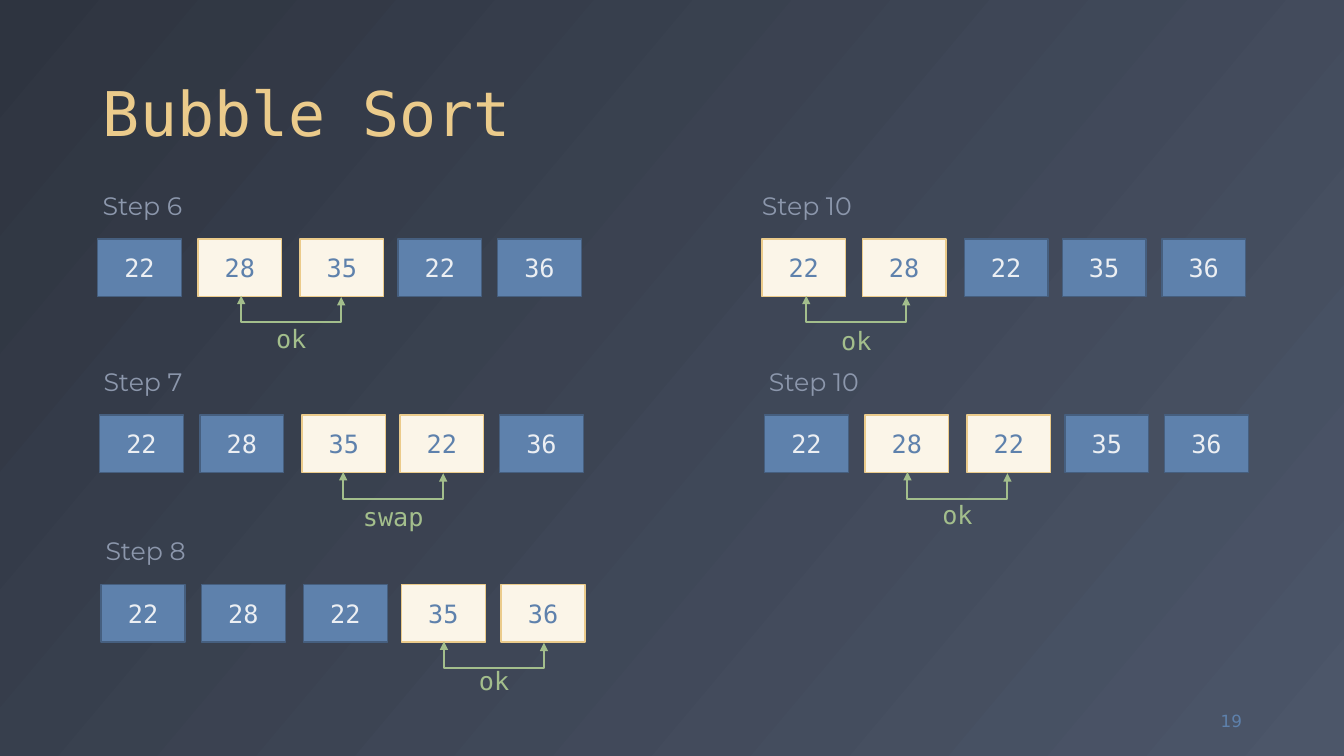
from lxml.etree import SubElement
from pptx import Presentation
from pptx.dml.color import RGBColor
from pptx.enum.shapes import MSO_CONNECTOR as Connector, MSO_SHAPE as Shape
from pptx.enum.text import MSO_ANCHOR as Anchor, MSO_AUTO_SIZE as AutoSize, PP_ALIGN as Align
from pptx.oxml.ns import qn
from pptx.util import Cm, Pt

TITLE = "Bubble Sort"
PAGE_NUMBER = "19"
# left and top of the row, left of the heading, index of the compared pair,
# centre of the bracket, top of the verdict: all in cm
STEPS = [
    dict(heading="Step 6", values=(22, 28, 35, 22, 36), verdict="ok", pair=1,
         left=2.46, top=6.02, heading_left=2.34, centre=7.34, verdict_top=8.03),
    dict(heading="Step 7", values=(22, 28, 35, 22, 36), verdict="swap", pair=2,
         left=2.51, top=10.46, heading_left=2.36, centre=9.91, verdict_top=12.52),
    dict(heading="Step 8", values=(22, 28, 22, 35, 36), verdict="ok", pair=3,
         left=2.55, top=14.73, heading_left=2.41, centre=12.45, verdict_top=16.64),
    dict(heading="Step 10", values=(22, 28, 22, 35, 36), verdict="ok", pair=0,
         left=19.2, top=6.02, heading_left=18.95, centre=21.58, verdict_top=8.08),
    dict(heading="Step 10", values=(22, 28, 22, 35, 36), verdict="ok", pair=1,
         left=19.27, top=10.46, heading_left=19.13, centre=24.13, verdict_top=12.47),
]

COLORS = dict(dark="2E3440", slate="4C5669", gold="EBCB8B", cream="FBF5E8", blue="5E81AC",
              navy="465F7F", white="ECEFF3", grey="8C97AC", green="A3BE8C")
MONO, SANS, HEADING = "DejaVu Sans Mono", "DejaVu Sans", "Montserrat"
CELL_OFFSETS = (0, 2.53, 5.1, 7.57, 10.08)
CELL_WIDTH, CELL_HEIGHT = 2.11, 1.45
HEADING_RISE, HEADING_WIDTH = 1.36, 3.2
TEXT_HEIGHT, VERDICT_WIDTH = 1.02, 2.95
BRACKET_SPAN, BRACKET_TILT, BRACKET_DEPTH = 2.52, 0.03, 0.64


def color(name):
    return RGBColor.from_string(COLORS[name])


def write(shape, text, font, size, color_name, align=Align.LEFT, **frame_format):
    frame = shape.text_frame
    for name, value in frame_format.items():
        setattr(frame, name, value)
    paragraph = frame.paragraphs[0]
    paragraph.alignment = align
    run = paragraph.add_run()
    run.text = text
    for name, value in dict(name=font, size=Pt(size)).items():
        setattr(run.font, name, value)
    run.font.color.rgb = color(color_name)
    return paragraph


def add_cell(shapes, left, top, value, compared):
    fill, line, ink = ("cream", "gold", "blue") if compared else ("blue", "navy", "white")
    cell = shapes.add_shape(Shape.RECTANGLE, Cm(left), Cm(top), Cm(CELL_WIDTH), Cm(CELL_HEIGHT))
    cell.shadow.inherit = False
    cell.fill.solid()
    cell.fill.fore_color.rgb = color(fill)
    cell.line.color.rgb = color(line)
    cell.line.width = Pt(1)
    write(cell, str(value), MONO, 18, ink, Align.CENTER, vertical_anchor=Anchor.MIDDLE)


def add_bracket(shapes, centre, top):
    """Elbow turned a quarter, so that both arrowheads point up at the pair."""
    tilt, reach = BRACKET_TILT / 2, BRACKET_SPAN / 2
    bracket = shapes.add_connector(Connector.ELBOW, Cm(centre + tilt), Cm(top - reach),
                                   Cm(centre - tilt), Cm(top + reach))
    bracket.line.color.rgb = color("green")
    bracket.line.width = Pt(1.5)
    properties = bracket._element.spPr
    properties.find(qn("a:xfrm")).set("rot", "5400000")
    geometry = properties.find(qn("a:prstGeom"))
    adjustments = geometry.find(qn("a:avLst"))
    if adjustments is None:
        adjustments = SubElement(geometry, qn("a:avLst"))
    bend = round(-BRACKET_DEPTH / BRACKET_TILT * 100000)
    SubElement(adjustments, qn("a:gd"), name="adj1", fmla=f"val {bend}")
    line = properties.find(qn("a:ln"))
    for end in ("a:headEnd", "a:tailEnd"):
        SubElement(line, qn(end), type="triangle")
    SubElement(properties, qn("a:effectLst"))


def add_step(slide, step):
    shapes = slide.shapes.add_group_shape().shapes
    left, top, pair = step["left"], step["top"], step["pair"]
    for index, (offset, value) in enumerate(zip(CELL_OFFSETS, step["values"])):
        add_cell(shapes, left + offset, top, value, index in (pair, pair + 1))
    heading = shapes.add_textbox(Cm(step["heading_left"]), Cm(top - HEADING_RISE),
                                 Cm(HEADING_WIDTH), Cm(TEXT_HEIGHT))
    write(heading, step["heading"], HEADING, 18, "grey",
          word_wrap=True, auto_size=AutoSize.SHAPE_TO_FIT_TEXT)
    add_bracket(shapes, step["centre"], top + CELL_HEIGHT)
    verdict = shapes.add_textbox(Cm(step["centre"] - VERDICT_WIDTH / 2), Cm(step["verdict_top"]),
                                 Cm(VERDICT_WIDTH), Cm(TEXT_HEIGHT))
    write(verdict, step["verdict"], MONO, 18, "green", Align.CENTER,
          word_wrap=True, auto_size=AutoSize.SHAPE_TO_FIT_TEXT)


def main():
    presentation = Presentation()
    presentation.slide_width, presentation.slide_height = Cm(33.87), Cm(19.05)
    slide = presentation.slides.add_slide(presentation.slide_layouts[5])

    background = slide.background.fill
    background.gradient()
    background.gradient_angle = 320
    for stop, name, position in zip(background.gradient_stops, ("dark", "slate"), (0, 1)):
        stop.color.rgb = color(name)
        stop.position = position

    title = slide.shapes.title
    place = dict(left=Cm(2.34), top=Cm(0.46), width=Cm(29.21), height=Cm(3.45))
    for name, value in place.items():
        setattr(title, name, value)
    paragraph = write(title, TITLE, MONO, 44, "gold", vertical_anchor=Anchor.BOTTOM,
                      word_wrap=True, auto_size=AutoSize.NONE)
    paragraph.line_spacing = 0.9

    page = slide.shapes.add_textbox(Cm(29.44), Cm(17.65), Cm(2.11), Cm(TEXT_HEIGHT))
    write(page, PAGE_NUMBER, SANS, 12, "blue", Align.RIGHT,
          vertical_anchor=Anchor.MIDDLE, word_wrap=True)

    for step in STEPS:
        add_step(slide, step)
    presentation.save("out.pptx")


if __name__ == "__main__":
    main()
